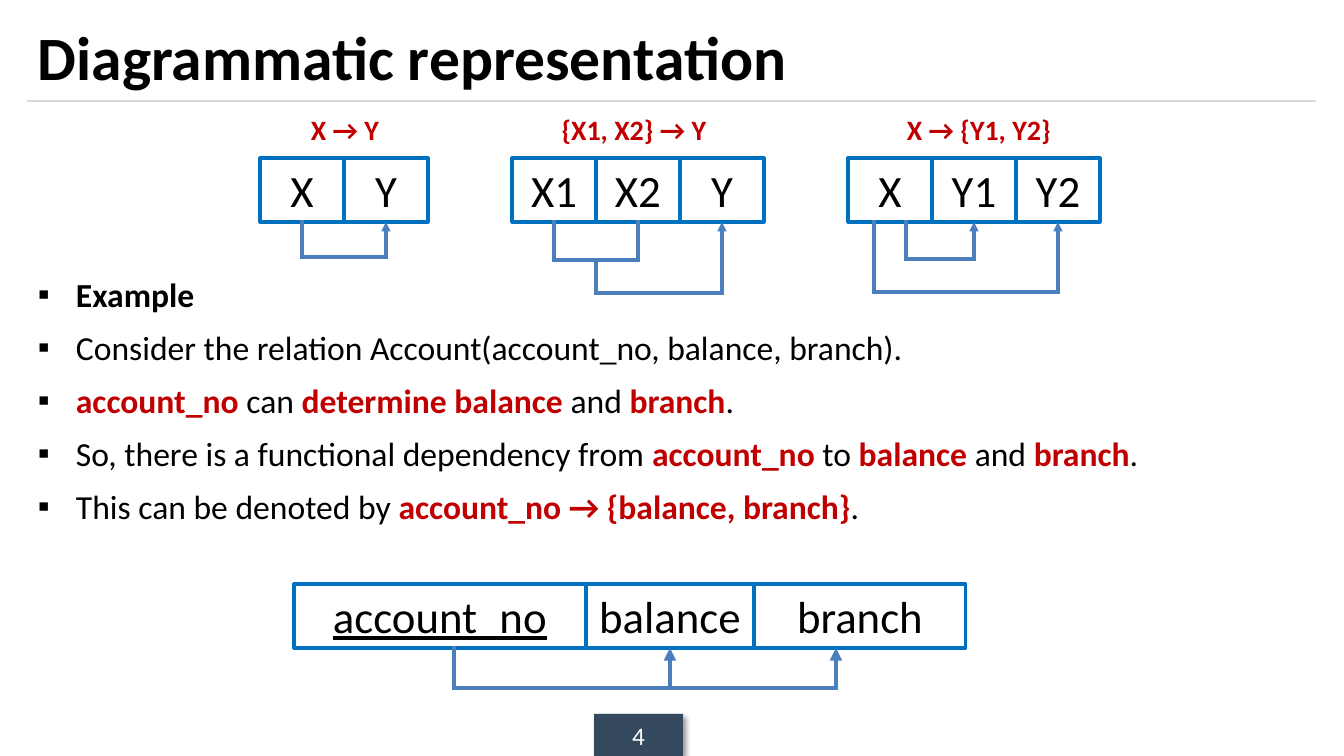
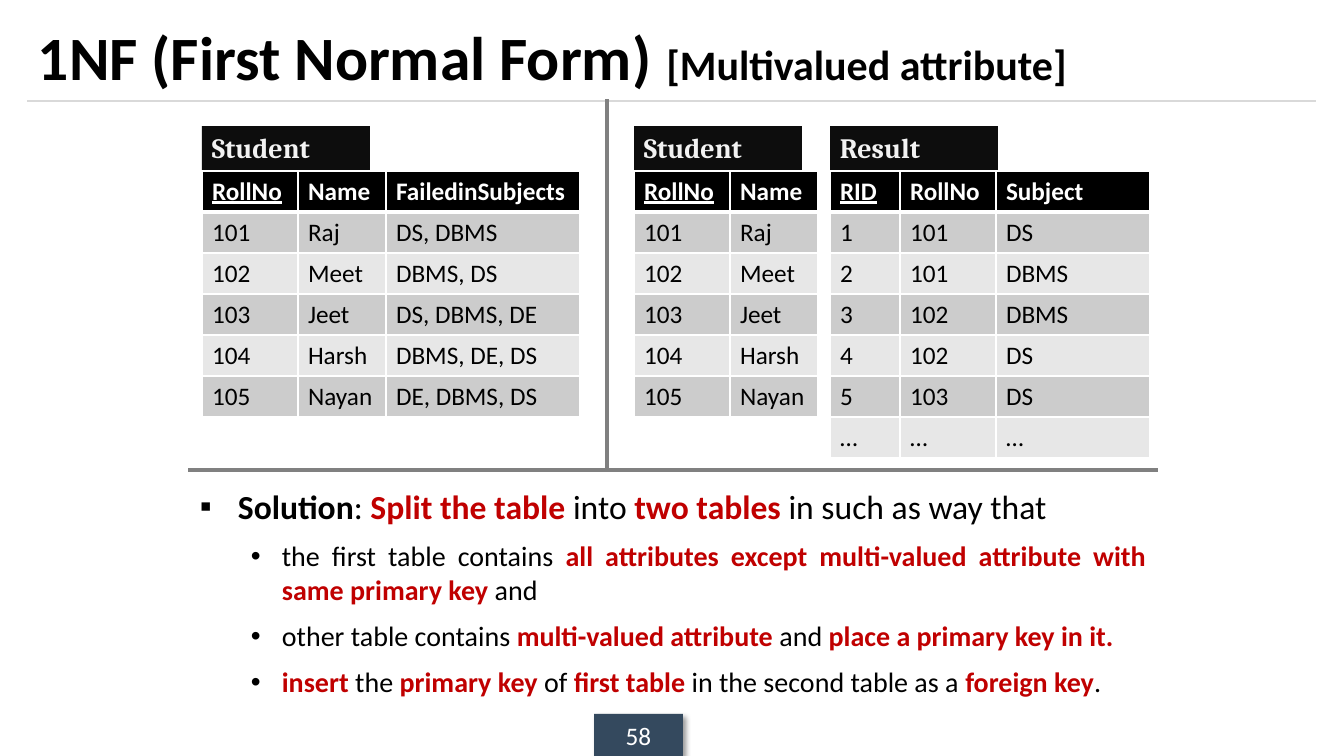
"""Build two database slides: functional dependency diagrams and first normal form."""
import lxml.etree
import pptx
import pptx.dml.color
import pptx.enum.shapes
import pptx.enum.text
import pptx.oxml.ns
import pptx.util

PX = 914400 / 100.8
BLACK = pptx.dml.color.RGBColor(0x00, 0x00, 0x00)
WHITE = pptx.dml.color.RGBColor(0xFF, 0xFF, 0xFF)
RED = pptx.dml.color.RGBColor(0xC0, 0x00, 0x00)
SLATE = pptx.dml.color.RGBColor(0x34, 0x49, 0x5E)
CELL_BLUE = pptx.dml.color.RGBColor(0x00, 0x70, 0xC0)
WIRE_BLUE = pptx.dml.color.RGBColor(0x4B, 0x7E, 0xBC)
RULE_GRAY = pptx.dml.color.RGBColor(0xD9, 0xD9, 0xD9)
DIVIDER_GRAY = pptx.dml.color.RGBColor(0x80, 0x80, 0x80)
TAG_BLACK = pptx.dml.color.RGBColor(0x0D, 0x0D, 0x0D)
TAG_TEXT = pptx.dml.color.RGBColor(0xF2, 0xF2, 0xF2)
ROW_FILLS = [
    pptx.dml.color.RGBColor(0xE7, 0xE7, 0xE7),
    pptx.dml.color.RGBColor(0xCC, 0xCC, 0xCC),
]
LEFT = pptx.enum.text.PP_ALIGN.LEFT
CENTER = pptx.enum.text.PP_ALIGN.CENTER
TOP = pptx.enum.text.MSO_ANCHOR.TOP
MIDDLE = pptx.enum.text.MSO_ANCHOR.MIDDLE
PLAIN, BOLD, KEY = (BLACK, False), (BLACK, True), (RED, True)
qn = pptx.oxml.ns.qn


def add_box(slide, bounds, text, size, color, bold=False, align=CENTER,
            anchor=TOP, fill=None, outline=None, font_name="Calibri"):
    """Add a rectangle, or a plain text box, holding one paragraph."""
    bounds = [round(length * PX) for length in bounds]
    if fill is None and outline is None:
        shape = slide.shapes.add_textbox(*bounds)
    else:
        shape = slide.shapes.add_shape(pptx.enum.shapes.MSO_SHAPE.RECTANGLE, *bounds)
        shape.shadow.inherit = False
        if fill is None:
            shape.fill.background()
        else:
            shape.fill.solid()
            shape.fill.fore_color.rgb = fill
        if outline is None:
            shape.line.fill.background()
        else:
            shape.line.color.rgb = outline
            shape.line.width = pptx.util.Pt(2.25)
    shape.text_frame.word_wrap = True
    shape.text_frame.vertical_anchor = anchor
    paragraph = shape.text_frame.paragraphs[0]
    paragraph.text = text
    paragraph.alignment = align
    font = paragraph.font
    font.name, font.size, font.bold = font_name, pptx.util.Pt(size), bold
    font.color.rgb = color
    return shape


def add_line(slide, start, end, color, width, arrow=False):
    """Add a straight connector, with an arrowhead at its end if asked."""
    points = [round(length * PX) for length in (*start, *end)]
    line = slide.shapes.add_connector(pptx.enum.shapes.MSO_CONNECTOR.STRAIGHT, *points)
    line.line.color.rgb = color
    line.line.width = pptx.util.Pt(width)
    properties = line.line._get_or_add_ln()
    if arrow:
        lxml.etree.SubElement(properties, qn("a:tailEnd"), type="triangle")
    else:
        properties.set("cap", "sq")
    lxml.etree.SubElement(line._element.spPr, qn("a:effectLst"))
    return line


presentation = pptx.Presentation()
presentation.slide_width = round(1344 * PX)
presentation.slide_height = round(756 * PX)

slides = []
for title_text, subtitle, number in [
    ("Diagrammatic representation", "", "4"),
    ("1NF (First Normal Form) ", "[Multivalued attribute]", "58"),
]:
    slide = presentation.slides.add_slide(presentation.slide_layouts[6])
    slides.append(slide)
    add_line(slide, (28, 101), (1316, 101), RULE_GRAY, 0.75)
    badge = add_box(slide, (594, 714, 89, 42), number, 18, WHITE, anchor=MIDDLE, fill=SLATE)
    shadow = lxml.etree.SubElement(
        badge._element.spPr.find(qn("a:effectLst")), qn("a:outerShdw"),
        blurRad="50800", dist="38100", dir="2700000", algn="tl", rotWithShape="0")
    shadow_color = lxml.etree.SubElement(shadow, qn("a:srgbClr"), val=str(BLACK))
    lxml.etree.SubElement(shadow_color, qn("a:alpha"), val="40000")
    title = add_box(slide, (28, 12, 1288, 88), title_text, 44, BLACK, True, LEFT, MIDDLE)
    if subtitle:
        run = title.text_frame.paragraphs[0].add_run()
        run.text = subtitle
        run.font.size = pptx.util.Pt(30)
diagram_slide, normal_form_slide = slides

bodies = [
    (diagram_slide, (28, 269, 1288, 280), [
        (0, [("Example", BOLD)]),
        (0, [("Consider the relation Account(account_no, balance, branch).", PLAIN)]),
        (0, [("account_no", KEY), (" can ", PLAIN), ("determine balance ", KEY),
             ("and ", PLAIN), ("branch", KEY), (".", PLAIN)]),
        (0, [("So, there is a functional dependency from ", PLAIN), ("account_no", KEY),
             (" to", PLAIN), (" balance ", KEY), ("and ", PLAIN), ("branch", KEY),
             (".", PLAIN)]),
        (0, [("This can be denoted by ", PLAIN),
             ("account_no → {balance, branch}", KEY), (".", PLAIN)]),
    ]),
    (normal_form_slide, (190, 481, 966, 232), [
        (0, [("Solution", BOLD), (": ", PLAIN), ("Split the table ", KEY),
             ("into ", PLAIN), ("two tables ", KEY), ("in such as way that", PLAIN)]),
        (1, [("the first table contains ", PLAIN),
             ("all attributes except multi-valued attribute with same primary key ", KEY),
             ("and", PLAIN)]),
        (1, [("other table contains ", PLAIN), ("multi-valued attribute ", KEY),
             ("and ", PLAIN), ("place a primary key in it.", KEY)]),
        (1, [("insert ", KEY), ("the ", PLAIN), ("primary key ", KEY), ("of ", PLAIN),
             ("first table ", KEY), ("in the second table as a ", PLAIN),
             ("foreign key", KEY), (".", PLAIN)]),
    ]),
]
bullet_levels = [("▪", 38, 38, 24), ("•", 82, 31, 20)]
for slide, bounds, paragraphs in bodies:
    frame = slide.shapes.add_textbox(*[round(length * PX) for length in bounds]).text_frame
    frame.word_wrap = True
    for index, (level, runs) in enumerate(paragraphs):
        bullet, margin, hanging, size = bullet_levels[level]
        paragraph = frame.add_paragraph() if index else frame.paragraphs[0]
        paragraph.level = level
        paragraph.alignment = pptx.enum.text.PP_ALIGN.JUSTIFY
        if index:
            paragraph.space_before = pptx.util.Pt(9)
        properties = paragraph._p.get_or_add_pPr()
        properties.set("marL", str(round(margin * PX)))
        properties.set("indent", str(round(-hanging * PX)))
        bullet_color = lxml.etree.SubElement(properties, qn("a:buClr"))
        lxml.etree.SubElement(bullet_color, qn("a:srgbClr"), val=str(BLACK))
        lxml.etree.SubElement(properties, qn("a:buFont"), typeface="Arial")
        lxml.etree.SubElement(properties, qn("a:buChar"), char=bullet)
        paragraph.font.name = "Calibri"
        paragraph.font.size = pptx.util.Pt(size)
        for text, (color, bold) in runs:
            run = paragraph.add_run()
            run.text = text
            run.font.color.rgb = color
            run.font.bold = bold

for label, center in [("X → Y", 345), ("{X1, X2} → Y", 634), ("X → {Y1, Y2}", 979)]:
    add_box(diagram_slide, (center - 86, 108, 172, 44), label, 20, RED, True)

cell_height = 64
cells_by_foot = {}
for left, top, columns in [
    (260, 158, [("X", 84), ("Y", 84)]),
    (512, 158, [("X1", 84), ("X2", 84), ("Y", 84)]),
    (848, 158, [("X", 84), ("Y1", 84), ("Y2", 84)]),
    (294, 584, [("account_no", 292), ("balance", 168), ("branch", 212)]),
]:
    for name, width in columns:
        cell = add_box(diagram_slide, (left, top, width, cell_height), name, 32, BLACK,
                       outline=CELL_BLUE)
        cell.text_frame.paragraphs[0].font.underline = name == "account_no"
        cells_by_foot[left + width // 2, top + cell_height] = cell
        left += width

wires = [
    ([(302, 222), (302, 257), (386, 257), (386, 222)], 2.25),
    ([(554, 222), (554, 260), (638, 260), (638, 222)], None),
    ([(596, 260), (596, 293), (722, 293), (722, 222)], 2.25),
    ([(906, 222), (906, 259), (974, 259), (974, 222)], 2.25),
    ([(874, 222), (874, 292), (1058, 292), (1058, 222)], 2.25),
    ([(454, 648), (454, 688), (836, 688), (836, 648)], 3),
    ([(670, 688), (670, 648)], 3),
]
for points, arrow_width in wires:
    for start, end in zip(points, points[1:]):
        arrow = arrow_width is not None and end == points[-1]
        wire = add_line(diagram_slide, start, end, WIRE_BLUE,
                        arrow_width if arrow else 2.25, arrow)
        if start in cells_by_foot:
            wire.begin_connect(cells_by_foot[start], 2)
        if end in cells_by_foot:
            wire.end_connect(cells_by_foot[end], 2)

add_line(normal_form_slide, (190, 470), (1156, 470), DIVIDER_GRAY, 2.25)
add_line(normal_form_slide, (607, 101), (607, 470), DIVIDER_GRAY, 2.25)

row_height = 41
students = [("101", "Raj"), ("102", "Meet"), ("103", "Jeet"), ("104", "Harsh"), ("105", "Nayan")]
failed = ["DS, DBMS", "DBMS, DS", "DS, DBMS, DE", "DBMS, DE, DS", "DE, DBMS, DS"]
tables = [
    ("Student", 202, [96, 88, 194],
     [("RollNo", "Name", "FailedinSubjects"),
      *[(*student, subjects) for student, subjects in zip(students, failed)]]),
    ("Student", 634, [96, 88], [("RollNo", "Name"), *students]),
    ("Result", 830, [70, 96, 154],
     [("RID", "RollNo", "Subject"), ("1", "101", "DS"), ("2", "101", "DBMS"),
      ("3", "102", "DBMS"), ("4", "102", "DS"), ("5", "103", "DS"), ("…", "…", "…")]),
]
for name, left, widths, rows in tables:
    add_box(normal_form_slide, (left, 126, 168, 44), name, 20, TAG_TEXT, True, LEFT,
            fill=TAG_BLACK, font_name="Cambria")
    bounds = (left, 171, sum(widths), row_height * len(rows))
    table = normal_form_slide.shapes.add_table(
        len(rows), len(widths), *[round(length * PX) for length in bounds]).table
    for column, width in zip(table.columns, widths):
        column.width = round(width * PX)
    for row_index, values in enumerate(rows):
        table.rows[row_index].height = round(row_height * PX)
        header = row_index == 0
        for column_index, value in enumerate(values):
            cell = table.cell(row_index, column_index)
            for side in ("lnL", "lnR", "lnT", "lnB"):
                thick = header and side == "lnB" or row_index == 1 and side == "lnT"
                border = lxml.etree.SubElement(
                    cell._tc.get_or_add_tcPr(), qn(f"a:{side}"),
                    w=str(pptx.util.Pt(3 if thick else 1)))
                border_fill = lxml.etree.SubElement(border, qn("a:solidFill"))
                lxml.etree.SubElement(border_fill, qn("a:srgbClr"), val=str(WHITE))
            cell.fill.solid()
            cell.fill.fore_color.rgb = BLACK if header else ROW_FILLS[row_index % 2]
            cell.text = value
            font = cell.text_frame.paragraphs[0].font
            font.name, font.size, font.bold = "Calibri", pptx.util.Pt(18), header
            font.underline = header and column_index == 0
            font.color.rgb = WHITE if header else BLACK

presentation.save("out.pptx")
